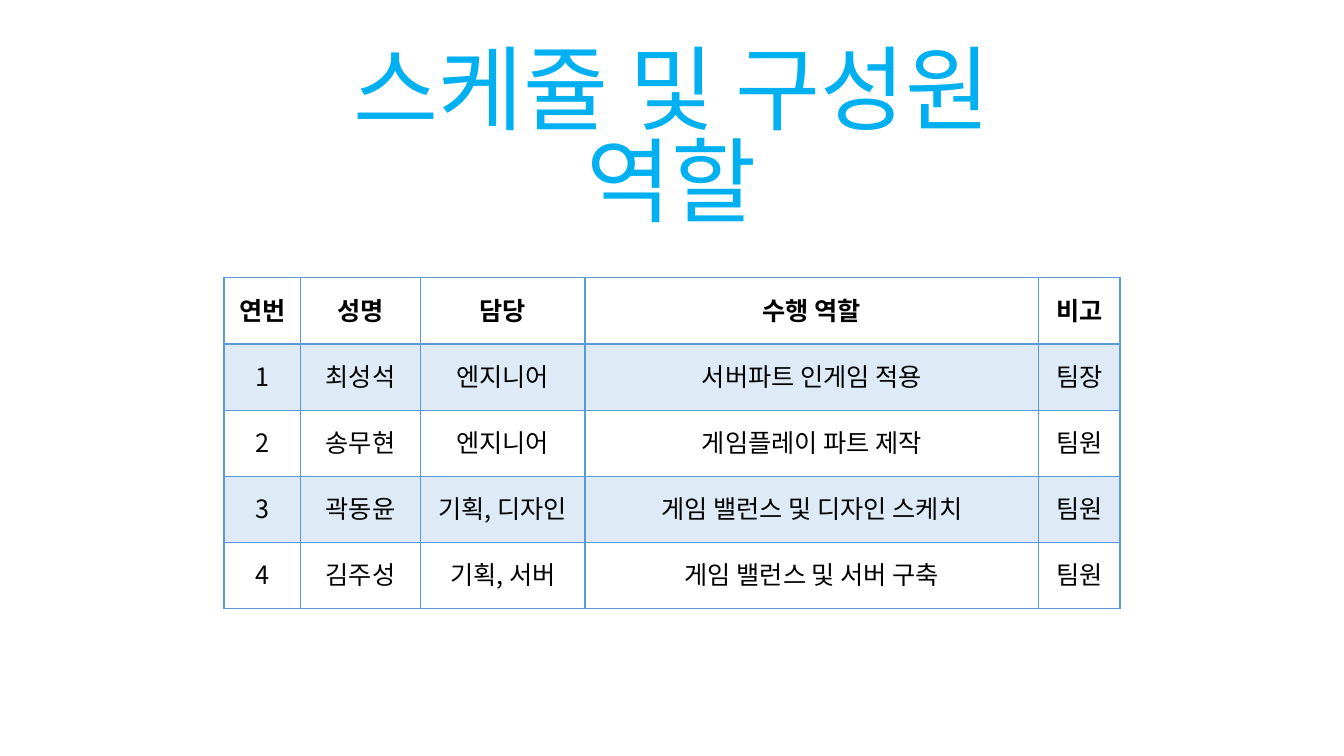
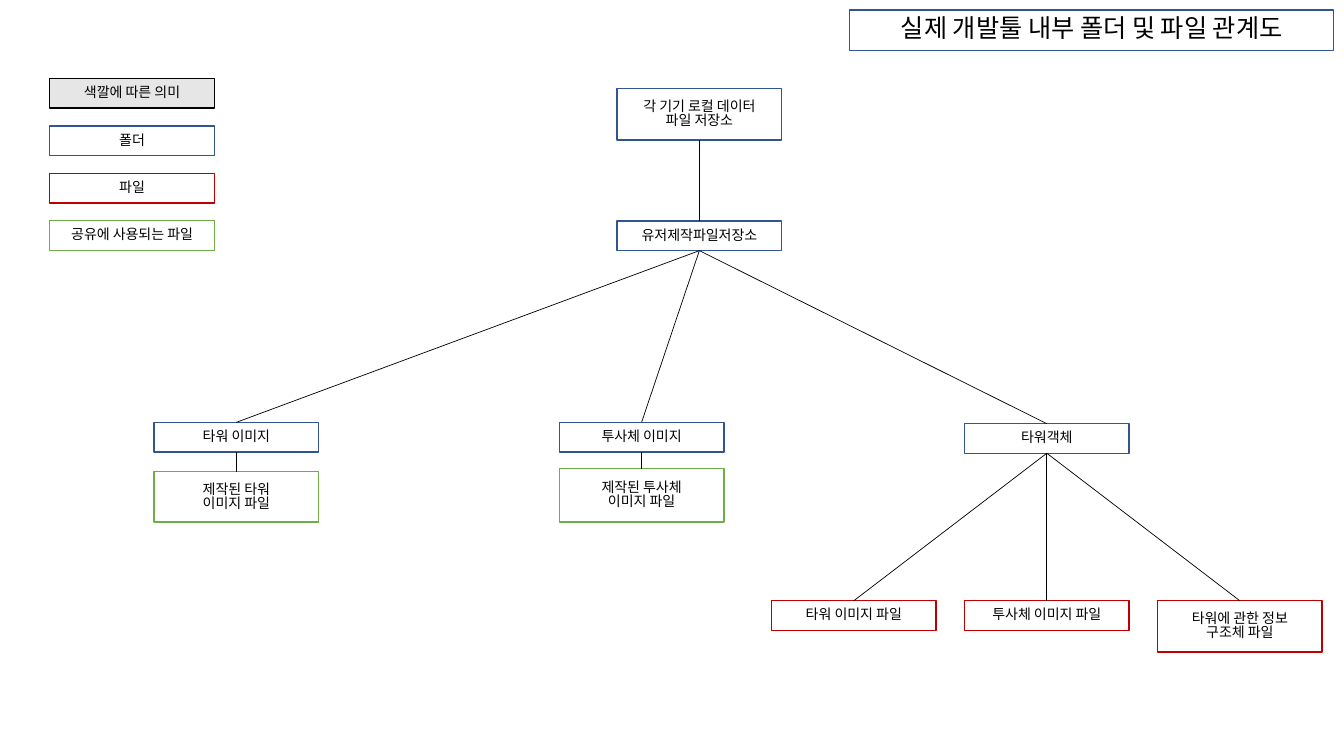
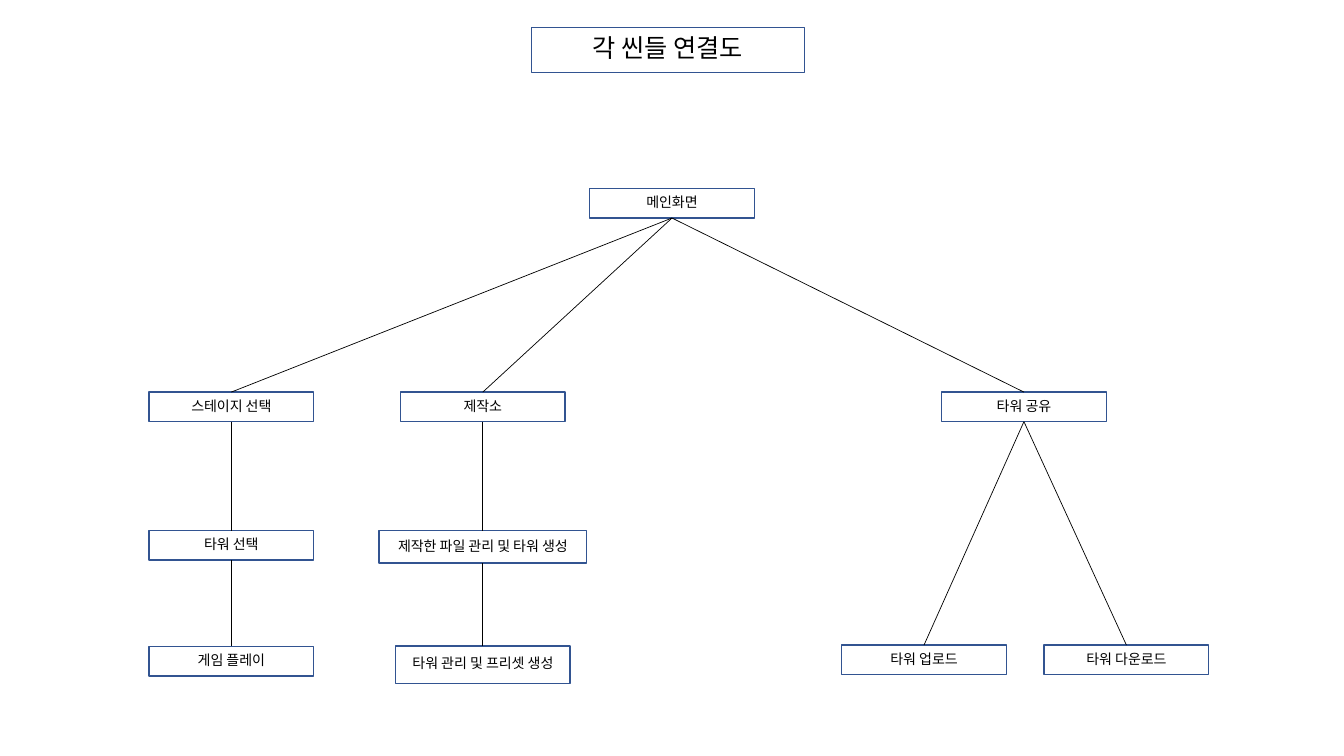
from lxml import etree
from pptx import Presentation
from pptx import util as u
from pptx.dml.color import RGBColor
from pptx.enum import shapes, text
from pptx.oxml import ns

FONT = "Noto Sans CJK KR"
BLACK = RGBColor(0x00, 0x00, 0x00)
GREY = RGBColor(0xE7, 0xE6, 0xE6)
SKY = RGBColor(0x00, 0xB0, 0xF0)
NAVY = RGBColor(0x32, 0x54, 0x91)    # folders and scenes
RED = RGBColor(0xC0, 0x00, 0x00)     # files
GREEN = RGBColor(0x70, 0xAD, 0x47)   # shared files
BLUE = RGBColor(0x5B, 0x9B, 0xD5)
PALE = RGBColor(0xDE, 0xEB, 0xF7)

COLS, ROWS = 80, 45                  # slide grid
BOX_W, BOX_H, TALL_H = 9.8, 1.76, 3.06
TOP, BOTTOM = 0, 2                   # connection sites of a rectangle


class Deck:
    """Style and current slide; lengths are grid columns and rows."""

    def __init__(self):
        self.prs = Presentation()
        self.prs.slide_width = u.Inches(13.33)
        self.prs.slide_height = u.Inches(7.5)
        self.s = None

    def slide(self):
        self.s = self.prs.slides.add_slide(self.prs.slide_layouts[6])

    def x(self, cols):
        return int(self.prs.slide_width * cols / COLS)

    def y(self, rows):
        return int(self.prs.slide_height * rows / ROWS)

    def frame(self, cx, top, w, h):
        """Left, top, width and height of a frame centred on column cx."""
        return self.x(cx - w / 2), self.y(top), self.x(w), self.y(h)

    def label(self, tf, words, size, color=BLACK, bold=False):
        tf.text = words
        for p in tf.paragraphs:
            p.alignment = text.PP_ALIGN.CENTER
            p.line_spacing = 0.83
            for r in p.runs:
                r.font.name, r.font.size = FONT, u.Pt(size)
                r.font.bold, r.font.color.rgb = bold, color
                ea = etree.SubElement(r.font._element, ns.qn("a:ea"))
                ea.set("typeface", FONT)

    def headline(self, words, cx, top, w, h):
        tf = self.s.shapes.add_textbox(*self.frame(cx, top, w, h)).text_frame
        tf.word_wrap = True
        tf.vertical_anchor = text.MSO_ANCHOR.MIDDLE
        self.label(tf, words, 66, SKY)

    def box(self, words, cx, top, color=NAVY, w=BOX_W, h=BOX_H, size=10, fill=None):
        sp = self.s.shapes.add_shape(shapes.MSO_SHAPE.RECTANGLE,
                                     *self.frame(cx, top, w, h))
        sp.shadow.inherit = False
        if fill is None:
            sp.fill.background()
        else:
            sp.fill.solid()
            sp.fill.fore_color.rgb = fill
        sp.line.color.rgb, sp.line.width = color, u.Pt(1)
        sp.text_frame.word_wrap = True
        sp.text_frame.vertical_anchor = text.MSO_ANCHOR.MIDDLE
        self.label(sp.text_frame, words, size)
        return sp

    def link(self, parent, *children):
        for child in children:
            c = self.s.shapes.add_connector(shapes.MSO_CONNECTOR.STRAIGHT, 0, 0, 0, 0)
            c.begin_connect(parent, BOTTOM)
            c.end_connect(child, TOP)
            c.line.color.rgb, c.line.width = BLACK, u.Pt(0.5)
            etree.SubElement(c._element.spPr, ns.qn("a:effectLst"))

    def border(self, cell, side, width):
        ln = etree.SubElement(cell._tc.get_or_add_tcPr(), ns.qn("a:ln" + side))
        ln.set("w", str(u.Pt(width)))
        fill = etree.SubElement(ln, ns.qn("a:solidFill"))
        etree.SubElement(fill, ns.qn("a:srgbClr")).set("val", str(BLUE))

    def table(self, rows, cx, top, widths, row_h):
        frame = self.frame(cx, top, sum(widths), row_h * len(rows))
        table = self.s.shapes.add_table(len(rows), len(widths), *frame).table
        table.first_row = table.horz_banding = False
        for col, w in zip(table.columns, widths):
            col.width = self.x(w)
        for i, row in enumerate(rows):
            table.rows[i].height = self.y(row_h)
            for j, words in enumerate(row):
                cell = table.cell(i, j)
                cell.vertical_anchor = text.MSO_ANCHOR.MIDDLE
                self.label(cell.text_frame, words, 18, bold=i == 0)
                for side in "LRTB":
                    heavy = (i, side) in ((0, "B"), (1, "T"))
                    self.border(cell, side, 2 if heavy else 1)
                if i % 2:
                    cell.fill.solid()
                    cell.fill.fore_color.rgb = PALE
                else:
                    cell.fill.background()


def roles(d):
    d.slide()
    d.headline("스케쥴 및 구성원 역할", 40, 4.8, 48.54, 7.26)
    d.table([
        ("연번", "성명", "담당", "수행 역할", "비고"),
        ("1", "최성석", "엔지니어", "서버파트 인게임 적용", "팀장"),
        ("2", "송무현", "엔지니어", "게임플레이 파트 제작", "팀원"),
        ("3", "곽동윤", "기획, 디자인", "게임 밸런스 및 디자인 스케치", "팀원"),
        ("4", "김주성", "기획, 서버", "게임 밸런스 및 서버 구축", "팀원"),
    ], 40, 16.54, (4.56, 7.14, 9.8, 27, 4.84), 3.94)


def folders(d):
    d.slide()
    d.box("실제 개발툴 내부 폴더 및 파일 관계도", 64.98, 0.6, w=28.8, h=2.4, size=18)

    # Colour key
    key = (("색깔에 따른 의미", BLACK, GREY), ("폴더", NAVY, None),
           ("파일", RED, None), ("공유에 사용되는 파일", GREEN, None))
    for i, (words, color, fill) in enumerate(key):
        d.box(words, 7.86, 4.68 + 2.82 * i, color, fill=fill)

    # Folder tree
    tower, shot, thing = 14.07, 38.19, 62.31
    store = d.box("각 기기 로컬 데이터\n파일 저장소", 41.63, 5.28, h=TALL_H)
    made = d.box("유저제작파일저장소", 41.63, 13.16)
    tower_dir = d.box("타워 이미지", tower, 25.14)
    shot_dir = d.box("투사체 이미지", shot, 25.14)
    thing_dir = d.box("타워객체", thing, 25.22)

    # Files
    tower_file = d.box("제작된 타워\n이미지 파일", tower, 28.08, GREEN, h=3)
    shot_file = d.box("제작된 투사체\n이미지 파일", shot, 27.9, GREEN, h=3.18)
    parts = (("타워 이미지 파일", BOX_H), ("투사체 이미지 파일", BOX_H),
             ("타워에 관한 정보\n구조체 파일", TALL_H))
    files = [d.box(words, thing + 11.49 * (i - 1), 35.76, RED, h=h)
             for i, (words, h) in enumerate(parts)]

    d.link(store, made)
    d.link(made, tower_dir, shot_dir, thing_dir)
    d.link(tower_dir, tower_file)
    d.link(shot_dir, shot_file)
    d.link(thing_dir, *files)


def scenes(d):
    d.slide()
    d.box("각 씬들 연결도", 39.76, 1.62, w=16.26, h=2.7, size=18)

    # Scene boxes, level by level
    play_x, craft_x, share_x = 13.77, 28.74, 60.95
    home = d.box("메인화면", 40, 11.22)
    stage = d.box("스테이지 선택", play_x, 23.34)
    craft = d.box("제작소", craft_x, 23.34)
    share = d.box("타워 공유", share_x, 23.34)
    pick = d.box("타워 선택", play_x, 31.58)
    manage = d.box("제작한 파일 관리 및 타워 생성", craft_x, 31.58, w=12.36, h=1.94)
    play = d.box("게임 플레이", play_x, 38.48)
    preset = d.box("타워 관리 및 프리셋 생성", craft_x, 38.46, w=10.38, h=2.22)
    upload = d.box("타워 업로드", 55, 38.4)
    download = d.box("타워 다운로드", 67.05, 38.4)

    d.link(home, stage, craft, share)
    d.link(stage, pick)
    d.link(pick, play)
    d.link(craft, manage)
    d.link(manage, preset)
    d.link(share, upload, download)


def main():
    d = Deck()
    for build in (roles, folders, scenes):
        build(d)
    d.prs.save("out.pptx")


if __name__ == "__main__":
    main()
